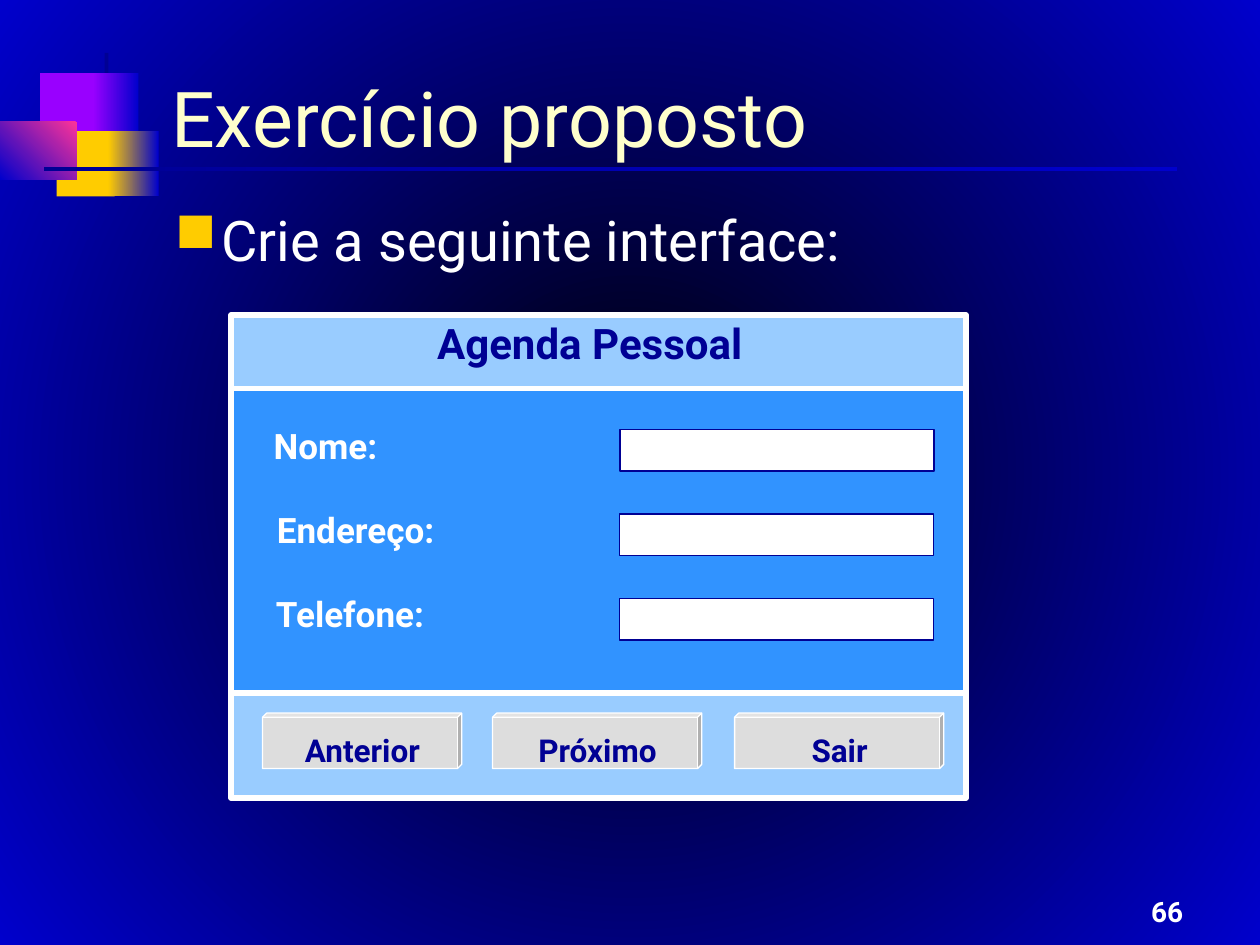
from dataclasses import dataclass

from lxml import etree
from pptx import Presentation
from pptx.dml.color import RGBColor
from pptx.enum.shapes import MSO_SHAPE
from pptx.enum.text import MSO_ANCHOR, PP_ALIGN
from pptx.oxml.ns import qn
from pptx.util import Pt

RECTANGLE, PROCESS, CUBE = MSO_SHAPE.RECTANGLE, MSO_SHAPE.FLOWCHART_PROCESS, MSO_SHAPE.CUBE
LEFT, CENTER, RIGHT = PP_ALIGN.LEFT, PP_ALIGN.CENTER, PP_ALIGN.RIGHT
TOP, BOTTOM = MSO_ANCHOR.TOP, MSO_ANCHOR.BOTTOM

FONT = "Roboto"
COLORS = {
    "black": "000004", "blue": "0000CC", "navy": "000094", "purple": "9900FF",
    "gold": "FFCC00", "pink": "FF3399", "cream": "FFFFCC", "white": "FFFFFF",
    "sky": "99CCFF", "azure": "3193FF", "gray": "DDDDDD",
}


@dataclass
class Area:
    left: float
    top: float
    width: float
    height: float

    def lengths(self) -> tuple:
        return Pt(self.left), Pt(self.top), Pt(self.width), Pt(self.height)


@dataclass
class Ornament:
    area: Area
    colors: tuple  # one colour is solid, two are a gradient
    angle: float = 0  # counter-clockwise


@dataclass
class Panel:
    top: float
    height: float
    color: str


@dataclass
class Field:
    label: str
    label_width: float
    border: float


@dataclass
class Button:
    caption: str
    left: float
    width: float


def rgb(name: str) -> RGBColor:
    return RGBColor.from_string(COLORS[name])


def paint(fill, colors: tuple, angle: float = 0) -> None:
    if len(colors) == 1:
        fill.solid()
        fill.fore_color.rgb = rgb(colors[0])
        return
    fill.gradient()
    fill.gradient_angle = angle
    for stop, color in zip(fill.gradient_stops, colors):
        stop.color.rgb = rgb(color)


def add_box(page, kind, area: Area, colors: tuple, angle: float = 0,
            line: str = "", line_width: float = 0):
    box = page.shapes.add_shape(kind, *area.lengths())
    box.shadow.inherit = False
    paint(box.fill, colors, angle)
    if line:
        box.line.color.rgb = rgb(line)
        box.line.width = Pt(line_width)
    else:
        box.line.fill.background()
    return box


def add_text(page, text: str, area: Area, *, size: float, color: str, bold=False,
             align=LEFT, anchor=TOP, spacing=None, side_margins=(7.2, 7.2)):
    frame = page.shapes.add_textbox(*area.lengths()).text_frame
    frame.word_wrap = True
    frame.vertical_anchor = anchor
    frame.margin_left, frame.margin_right = map(Pt, side_margins)
    frame.margin_top = frame.margin_bottom = Pt(3.6)
    para = frame.paragraphs[0]
    para.alignment = align
    if spacing:
        para.line_spacing = spacing
    span = para.add_run()
    span.text = text
    span.font.name = FONT
    span.font.size = Pt(size)
    span.font.bold = bold
    span.font.color.rgb = rgb(color)
    return para


def add_form_text(page, text: str, area: Area, size: float, color: str) -> None:
    add_text(page, text, area, size=size, color=color, bold=True, align=CENTER,
             spacing=0.7, side_margins=(2.9, 0))


def add_bullet(para, color: str, indent: float) -> None:
    properties = para._p.get_or_add_pPr()
    properties.set("marL", str(Pt(indent)))
    properties.set("indent", str(-Pt(indent)))
    bullet_color = etree.SubElement(properties, qn("a:buClr"))
    etree.SubElement(bullet_color, qn("a:srgbClr"), val=COLORS[color])
    etree.SubElement(properties, qn("a:buChar"), char="■")


def set_background(page) -> None:
    paint(page.background.fill, ("black", "blue"))
    linear = page.element.find(".//" + qn("a:lin"))
    radial = etree.Element(qn("a:path"), path="circle")
    etree.SubElement(radial, qn("a:fillToRect"), l="50000", t="50000", r="50000", b="50000")
    linear.getparent().replace(linear, radial)


ORNAMENTS = [
    Ornament(Area(59.8, 30.2, 2.2, 82.8), ("navy",)),
    Ornament(Area(23, 41.8, 34.6, 37.4), ("purple",)),
    Ornament(Area(53.3, 41.8, 25.9, 37.4), ("blue", "purple"), 180),
    Ornament(Area(32.4, 74.9, 33.1, 37.4), ("gold",)),
    Ornament(Area(61.9, 74.9, 28.8, 37.4), ("blue", "gold"), 180),
    Ornament(Area(0, 69.5, 43.9, 33.1), ("pink", "blue"), 225),
    Ornament(Area(25.2, 95.6, 647.3, 2.3), ("blue", "navy"), 180),
]
PANELS = [Panel(180, 42, "sky"), Panel(396, 60, "sky"), Panel(222, 173.5, "azure")]
BUTTONS = [
    Button("Anterior", 150, 113.8),
    Button("Próximo", 281.5, 119.5),
    Button("Sair", 419.8, 119.5),
]
FIELDS = [
    Field("Nome:", 69.1, 1),
    Field("Endereço:", 103.7, 0.75),
    Field("Telefone:", 97.2, 0.75),
]
FIELD_TOP, FIELD_PITCH = 245.5, 48.2


def main() -> None:
    deck = Presentation()
    deck.slide_width, deck.slide_height = Pt(720), Pt(540)
    page = deck.slides.add_slide(deck.slide_layouts[6])
    set_background(page)

    # Corner ornament and title rule
    for ornament in ORNAMENTS:
        add_box(page, RECTANGLE, ornament.area, ornament.colors, ornament.angle)

    # Page number, title and instruction
    add_text(page, "66", Area(534.2, 498.2, 149, 36), size=16, color="white",
             bold=True, align=RIGHT, anchor=BOTTOM)
    add_text(page, "Exercício proposto", Area(90.7, 36, 613.4, 60.5), size=44,
             color="cream", anchor=BOTTOM)
    instruction = add_text(page, "Crie a seguinte interface:",
                           Area(92.9, 113.8, 612, 368.6), size=32, color="white")
    add_bullet(instruction, "gold", 26.6)

    # Form window
    for panel in PANELS:
        add_box(page, PROCESS, Area(132, panel.top, 420, panel.height), (panel.color,),
                line="white", line_width=3)
    add_form_text(page, "Agenda Pessoal", Area(239.8, 185.8, 191.5, 47.5), 24, "navy")

    # Buttons
    for button in BUTTONS:
        cube = add_box(page, CUBE, Area(button.left, 407.5, button.width, 31.7), ("gray",),
                       line="white", line_width=0.75)
        cube.adjustments[0] = 0.075
        caption_area = Area(button.left + 15, 419.8, button.width - 32.5, 22.3)
        add_form_text(page, button.caption, caption_area, 18, "navy")

    # Labels and entry fields
    for row, field in enumerate(FIELDS):
        top = FIELD_TOP + row * FIELD_PITCH
        add_form_text(page, field.label, Area(150, top, field.label_width, 24.5), 20, "white")
        add_box(page, RECTANGLE, Area(354.2, top, 179.5, 23.8), ("white",),
                line="navy", line_width=field.border)

    deck.save("out.pptx")


if __name__ == "__main__":
    main()
